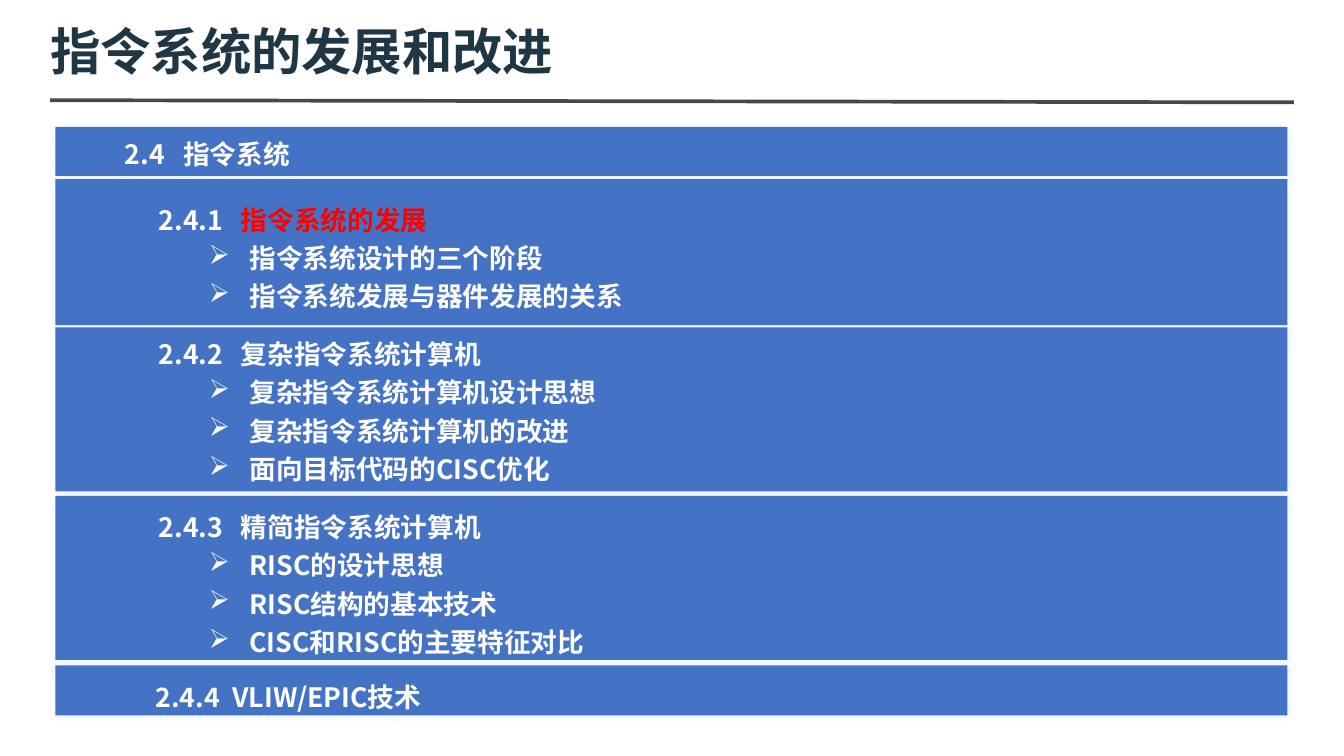
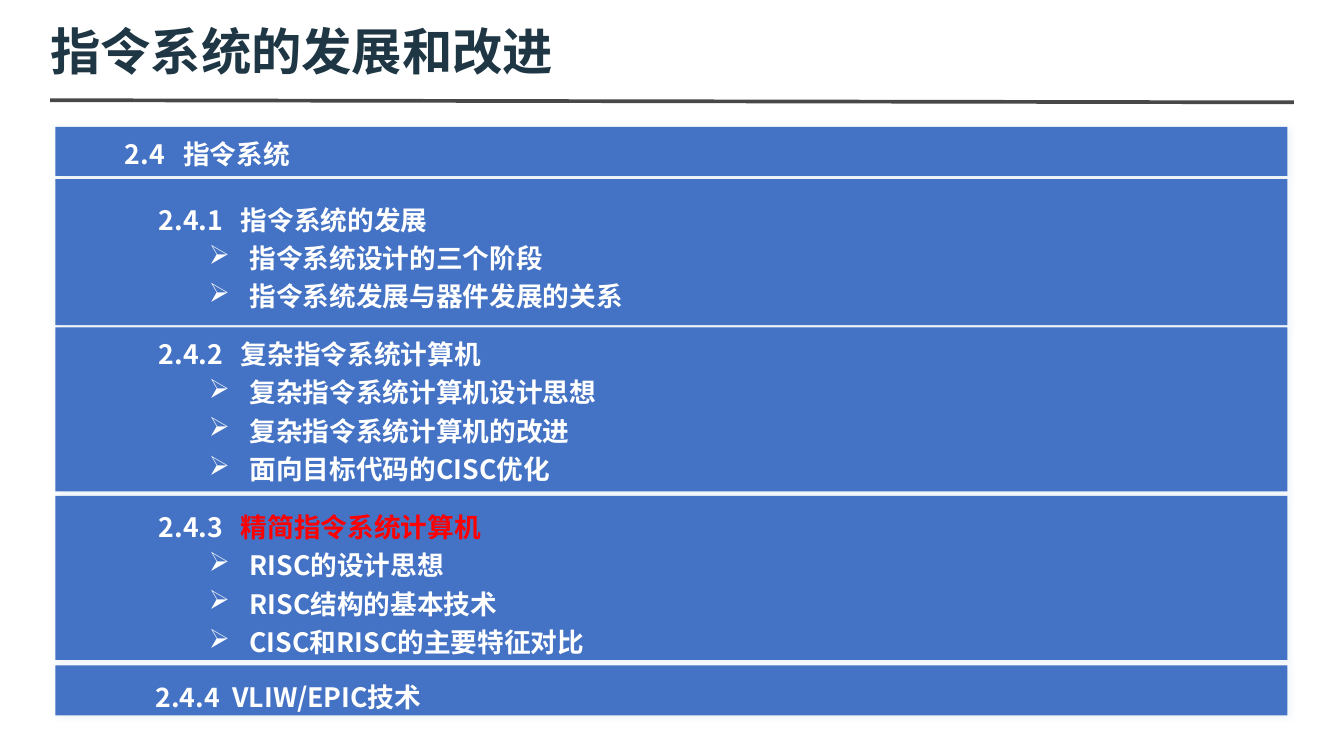
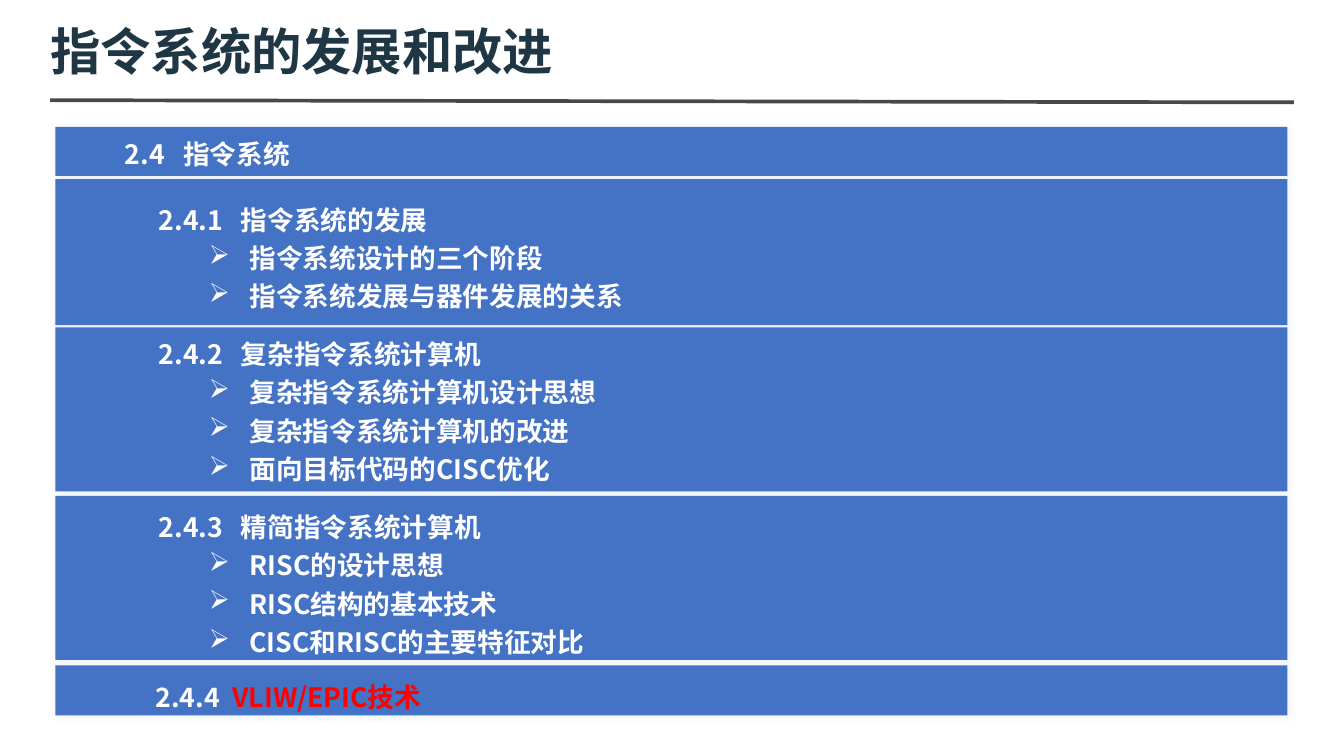
from dataclasses import dataclass

from lxml import etree
from pptx import Presentation
from pptx.dml.color import RGBColor
from pptx.enum import shapes, text
from pptx.oxml import ns
from pptx.util import Inches, Pt

TITLE = "指令系统的发展和改进"
TITLE_FONT = "Arial"
BODY_FONT = "Noto Sans CJK SC"
TITLE_COLOR = "1F3744"
RULE_COLOR = "484849"
BAND_COLOR = "4472C4"
SHADOW_COLOR = "7DADC4"
TEXT_COLOR = "FFFFFF"
HIGHLIGHT_COLOR = "FF0000"
BAND_LEFT, BAND_WIDTH = 0.52, 11.55
LINE_SPACING = Pt(25.9)


@dataclass
class Section:
    """One outline band; text_box is left, top, width, height in inches."""
    number: str
    heading: str
    items: tuple
    band_top: float
    band_height: float
    text_box: tuple
    tab: float


SECTIONS = (
    Section("2.4", "指令系统", (), 1.19, 0.46, (1.07, 1.18, 6.72, 0.49), 0.55),
    Section("2.4.1", "指令系统的发展",
            ("指令系统设计的三个阶段", "指令系统发展与器件发展的关系"),
            1.68, 1.37, (1.39, 1.8, 6.31, 1.52), 0.77),
    Section("2.4.2", "复杂指令系统计算机",
            ("复杂指令系统计算机设计思想", "复杂指令系统计算机的改进", "面向目标代码的CISC优化"),
            3.07, 1.54, (1.39, 3.06, 6.31, 2.25), 0.77),
    Section("2.4.3", "精简指令系统计算机",
            ("RISC的设计思想", "RISC结构的基本技术", "CISC和RISC的主要特征对比"),
            4.65, 1.54, (1.39, 4.68, 6.31, 1.89), 0.77),
    Section("2.4.4", "VLIW/EPIC技术", (), 6.24, 0.47, (1.36, 6.28, 6.31, 0.43), 0.72),
)
CURRENT_SECTIONS = ("2.4.1", "2.4.3", "2.4.4")


def rgb(color):
    return RGBColor.from_string(color)


def add_element(parent, tag, **attributes):
    element = etree.SubElement(parent, ns.qn(tag))
    for name, value in attributes.items():
        element.set(name, str(value))
    return element


def format_run(run, color):
    font = run.font
    font.size, font.bold, font.name = Pt(18), True, BODY_FONT
    font.color.rgb = rgb(color)
    add_element(run.font._element, "a:ea", typeface=BODY_FONT)


def add_title(slide):
    title = slide.shapes.title
    title.left, title.top = Inches(0.47), Inches(0.16)
    title.width, title.height = Inches(11.65), Inches(0.63)
    frame = title.text_frame
    frame.text = TITLE
    frame.margin_left = frame.margin_right = frame.margin_top = frame.margin_bottom = 0
    frame.vertical_anchor = text.MSO_ANCHOR.MIDDLE
    frame.auto_size = text.MSO_AUTO_SIZE.NONE
    paragraph = frame.paragraphs[0]
    paragraph.alignment = text.PP_ALIGN.LEFT
    font = paragraph.runs[0].font
    font.size, font.bold, font.name = Pt(34), True, TITLE_FONT
    font.color.rgb = rgb(TITLE_COLOR)


def add_rule(slide):
    rule = slide.shapes.add_connector(
        shapes.MSO_CONNECTOR.STRAIGHT,
        Inches(0.47), Inches(0.94), Inches(12.13), Inches(0.96))
    rule.line.color.rgb = rgb(RULE_COLOR)
    rule.line.width = Pt(2.5)
    add_element(rule._element.spPr, "a:effectLst")


def add_band(slide, section):
    band = slide.shapes.add_shape(
        shapes.MSO_SHAPE.RECTANGLE, Inches(BAND_LEFT), Inches(section.band_top),
        Inches(BAND_WIDTH), Inches(section.band_height))
    band.fill.solid()
    band.fill.fore_color.rgb = rgb(BAND_COLOR)
    band.line.fill.background()
    band.shadow.inherit = False
    effects = band._element.spPr.find(ns.qn("a:effectLst"))
    shadow = add_element(effects, "a:outerShdw", blurRad=Pt(5), dist=0, dir=0,
                         algn="ctr", rotWithShape=0)
    color = add_element(shadow, "a:srgbClr", val=SHADOW_COLOR)
    add_element(color, "a:alpha", val=15000)


def format_heading(paragraph, section, highlighted):
    properties = paragraph._p.get_or_add_pPr()
    tabs = add_element(properties, "a:tabLst")
    add_element(tabs, "a:tab", pos=Inches(section.tab), algn="l")
    paragraph.line_spacing = LINE_SPACING
    paragraph.text = section.number + "\t"
    format_run(paragraph.runs[0], TEXT_COLOR)
    heading = paragraph.add_run()
    heading.text = section.heading
    format_run(heading, HIGHLIGHT_COLOR if highlighted else TEXT_COLOR)


def add_bullet(frame, item):
    paragraph = frame.add_paragraph()
    paragraph.level = 1
    properties = paragraph._p.get_or_add_pPr()
    properties.set("marL", str(Inches(0.85)))
    properties.set("indent", str(Inches(-0.38)))
    add_element(properties, "a:buChar", char="➢")
    paragraph.line_spacing = LINE_SPACING
    paragraph.text = item
    format_run(paragraph.runs[0], TEXT_COLOR)


def add_section_text(slide, section, highlighted):
    box = slide.shapes.add_textbox(*map(Inches, section.text_box))
    frame = box.text_frame
    frame.word_wrap = True
    format_heading(frame.paragraphs[0], section, highlighted)
    for item in section.items:
        add_bullet(frame, item)


def add_outline_slide(presentation, current):
    """Add the outline with the heading of the current section highlighted."""
    slide = presentation.slides.add_slide(presentation.slide_layouts[5])
    add_title(slide)
    add_rule(slide)
    for section in SECTIONS:
        add_band(slide, section)
        add_section_text(slide, section, section.number == current)


def main():
    presentation = Presentation()
    presentation.slide_width = Inches(12.6)
    presentation.slide_height = Inches(7.09)
    for current in CURRENT_SECTIONS:
        add_outline_slide(presentation, current)
    presentation.save("out.pptx")


if __name__ == "__main__":
    main()
